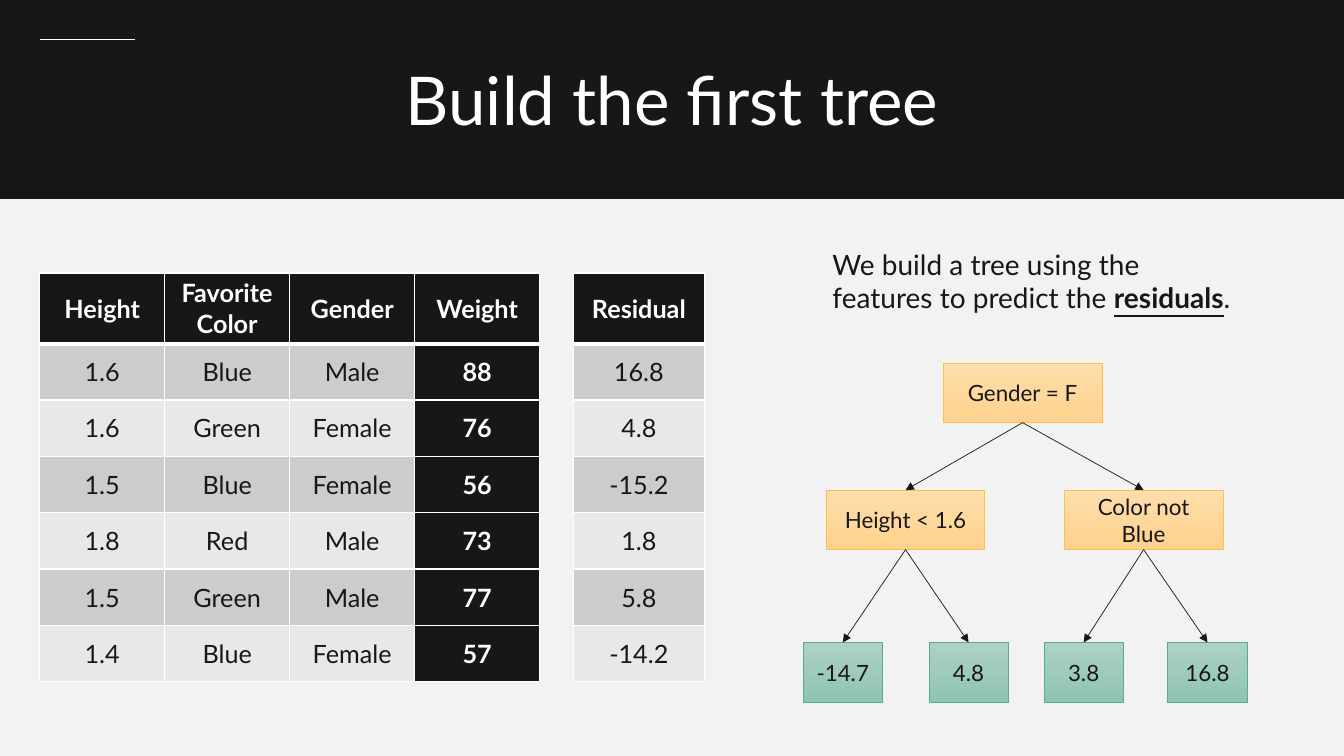
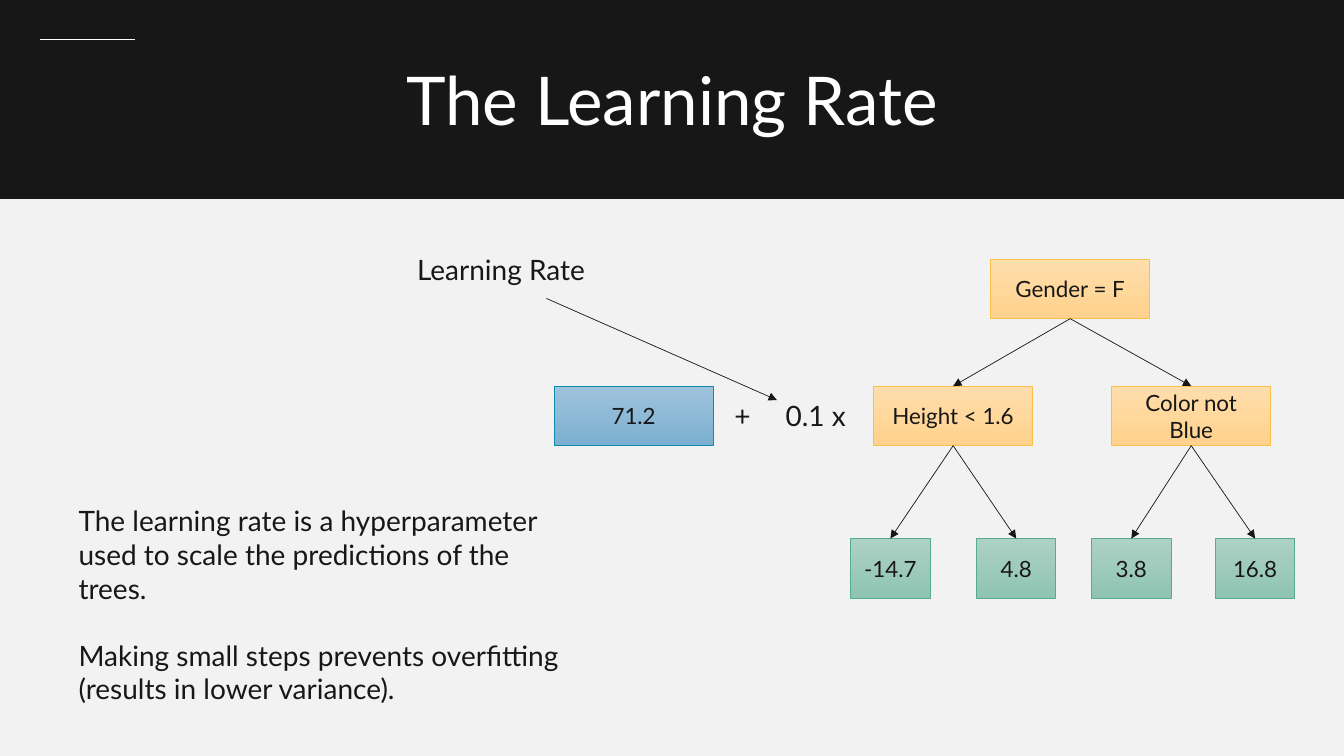
from lxml.etree import SubElement
from pptx import Presentation
from pptx.dml.color import RGBColor
from pptx.enum.shapes import MSO_CONNECTOR, MSO_SHAPE
from pptx.enum.text import MSO_ANCHOR, PP_ALIGN
from pptx.oxml.ns import qn
from pptx.util import Cm, Pt

RECT = MSO_SHAPE.RECTANGLE
LINE = MSO_CONNECTOR.STRAIGHT
MID, TOP = MSO_ANCHOR.MIDDLE, MSO_ANCHOR.TOP
LEFT, CENTER = PP_ALIGN.LEFT, PP_ALIGN.CENTER
FONT = "Lato"
WIDE, HIGH = 33.87, 19.05

COLORS = {
    "page": "F2F2F2", "ink": "181717", "white": "FFFFFF",
    "odd": "CCCCCC", "even": "E8E8E8",
}
# Each box style: top colour, bottom colour, outline
BOXES = {
    "test": ("FFDEAD", "FFD28D", "FCBF49"),
    "leaf": ("ADD1C5", "8FC4B2", "56AB91"),
    "base": ("9EC3DC", "7CB0D0", "118AB2"),
}

# Data
PEOPLE = [
    ("Height", "Favorite Color", "Gender", "Weight"),
    ("1.6", "Blue", "Male", "88"),
    ("1.6", "Green", "Female", "76"),
    ("1.5", "Blue", "Female", "56"),
    ("1.8", "Red", "Male", "73"),
    ("1.5", "Green", "Male", "77"),
    ("1.4", "Blue", "Female", "57"),
]
ERRORS = [(t,) for t in ("Residual", "16.8", "4.8", "-15.2", "1.8", "5.8", "-14.2")]

# Tree: name, style, left and top from the root, index of the parent
TREE = [
    ("Gender = F", "test", 0, 0, None),
    ("Height < 1.6", "test", -2.95, 3.2, 0),
    ("Color not Blue", "test", 3.05, 3.2, 0),
    ("-14.7", "leaf", -3.53, 7.04, 1),
    ("4.8", "leaf", -0.36, 7.04, 1),
    ("3.8", "leaf", 2.54, 7.04, 2),
    ("16.8", "leaf", 5.66, 7.04, 2),
]


def rgb(code):
    return RGBColor.from_string(code)


def write(frame, text, size=20, color="ink", bold=False, align=LEFT,
          anchor=TOP, gap=0):
    """Each line is a paragraph; words between asterisks are bold and underlined."""
    frame.word_wrap = True
    frame.vertical_anchor = anchor
    for i, line in enumerate(text.split("\n")):
        para = frame.add_paragraph() if i else frame.paragraphs[0]
        para.alignment = align
        para.space_before = Pt(gap if i else 0)
        for j, part in enumerate(line.split("*")):
            run = para.add_run()
            run.text = part
            font = run.font
            font.name, font.size = FONT, Pt(size)
            font.bold = bold or j % 2 == 1
            font.underline = j % 2 == 1
            font.color.rgb = rgb(COLORS[color])


class Deck:
    def __init__(self):
        self.prs = Presentation()
        self.prs.slide_width, self.prs.slide_height = Cm(WIDE), Cm(HIGH)
        self.slide = None

    def page(self, title):
        """Start a slide with its band, rule and title."""
        self.slide = self.prs.slides.add_slide(self.prs.slide_layouts[6])
        back = self.slide.background.fill
        back.solid()
        back.fore_color.rgb = rgb(COLORS["page"])
        band = self.rect(0, 0, WIDE, 5, COLORS["ink"], 1)
        band.fill.solid()
        band.fill.fore_color.rgb = rgb(COLORS["ink"])
        self.line((1, 1), (3.4, 1), color="white")
        self.text(title, 3.3, 1.35, 27.28, 2.31, size=48, color="white",
                  align=CENTER)

    def rect(self, x, y, w, h, edge, width):
        shape = self.slide.shapes.add_shape(RECT, Cm(x), Cm(y), Cm(w), Cm(h))
        shape.shadow.inherit = False
        shape.line.color.rgb = rgb(edge)
        shape.line.width = Pt(width)
        return shape

    def text(self, text, x, y, w, h, **style):
        area = self.slide.shapes.add_textbox(Cm(x), Cm(y), Cm(w), Cm(h))
        write(area.text_frame, text, **style)

    def box(self, text, kind, x, y):
        """Draw a tree node; leaves are half as wide."""
        *shades, edge = BOXES[kind]
        shape = self.rect(x, y, 2 if kind == "leaf" else 4, 1.5, edge, 0.5)
        shape.fill.gradient()
        shape.fill.gradient_angle = 270
        for stop, shade in zip(shape.fill.gradient_stops, shades):
            stop.color.rgb = rgb(shade)
        write(shape.text_frame, text, size=16, align=CENTER, anchor=MID)
        return shape

    def line(self, start=(0, 0), end=(0, 0), color="ink", arrow=False):
        ends = [Cm(n) for n in (*start, *end)]
        link = self.slide.shapes.add_connector(LINE, *ends)
        link.line.color.rgb = rgb(COLORS[color])
        link.line.width = Pt(0.5)
        props = link._element.spPr
        if arrow:
            SubElement(props.find(qn("a:ln")), qn("a:tailEnd"), type="triangle")
        SubElement(props, qn("a:effectLst"))
        return link

    def tree(self, x, y):
        nodes = []
        for name, kind, dx, dy, root in TREE:
            node = self.box(name, kind, x + dx, y + dy)
            nodes.append(node)
            if root is not None:
                link = self.line(arrow=True)
                link.begin_connect(nodes[root], 2)
                link.end_connect(node, 0)

    def table(self, rows, x, y, width, dark=None):
        """Draw a banded table; the column numbered dark looks like the header."""
        count = len(rows[0])
        grid = self.slide.shapes.add_table(
            len(rows), count, Cm(x), Cm(y), Cm(width * count), Cm(10.3)).table
        for col in grid.columns:
            col.width = Cm(width)
        for r, row in enumerate(rows):
            grid.rows[r].height = Cm(1.42 if r else 1.78)
            for c, text in enumerate(row):
                cell = grid.cell(r, c)
                head = r == 0 or c == dark
                self.edges(cell, top=3 if r == 1 else 1, low=1 if r else 3)
                fill = "ink" if head else "odd" if r % 2 else "even"
                cell.fill.solid()
                cell.fill.fore_color.rgb = rgb(COLORS[fill])
                cell.vertical_anchor = MID
                write(cell.text_frame, text, size=18, bold=head, align=CENTER,
                      anchor=MID, color="white" if head else "ink")

    def edges(self, cell, top, low):
        props = cell._tc.get_or_add_tcPr()
        for side, width in (("L", 1), ("R", 1), ("T", top), ("B", low)):
            edge = SubElement(props, qn("a:ln" + side), w=str(Pt(width)))
            fill = SubElement(edge, qn("a:solidFill"))
            SubElement(fill, qn("a:srgbClr"), val=COLORS["white"])


def main():
    deck = Deck()

    # First tree
    deck.page("Build the first tree")
    deck.table(PEOPLE, 1, 6.88, 3.15, dark=3)
    deck.table(ERRORS, 14.45, 6.88, 3.3)
    deck.text("We build a tree using the features to predict the *residuals*.",
              20.73, 6.1, 10.72, 1.96)
    deck.tree(23.77, 9.15)

    # Learning rate
    deck.page("The Learning Rate")
    deck.text("The learning rate is a hyperparameter used to scale the "
              "predictions of the trees.\nMaking small steps prevents "
              "overfitting (results in lower variance).",
              1.73, 12.57, 13.06, 4.52, gap=24)
    deck.box("71.2", "base", 13.97, 9.73)
    deck.text("+", 18.26, 9.91, 1.2, 1.12)
    deck.text("0.1 x", 19.55, 9.91, 2.2, 1.12)
    deck.tree(24.97, 6.53)
    deck.text("Learning Rate", 10.26, 6.25, 5.3, 1.12)
    deck.line((13.77, 7.52), (19.58, 10.08), arrow=True)

    deck.prs.save("out.pptx")


if __name__ == "__main__":
    main()
